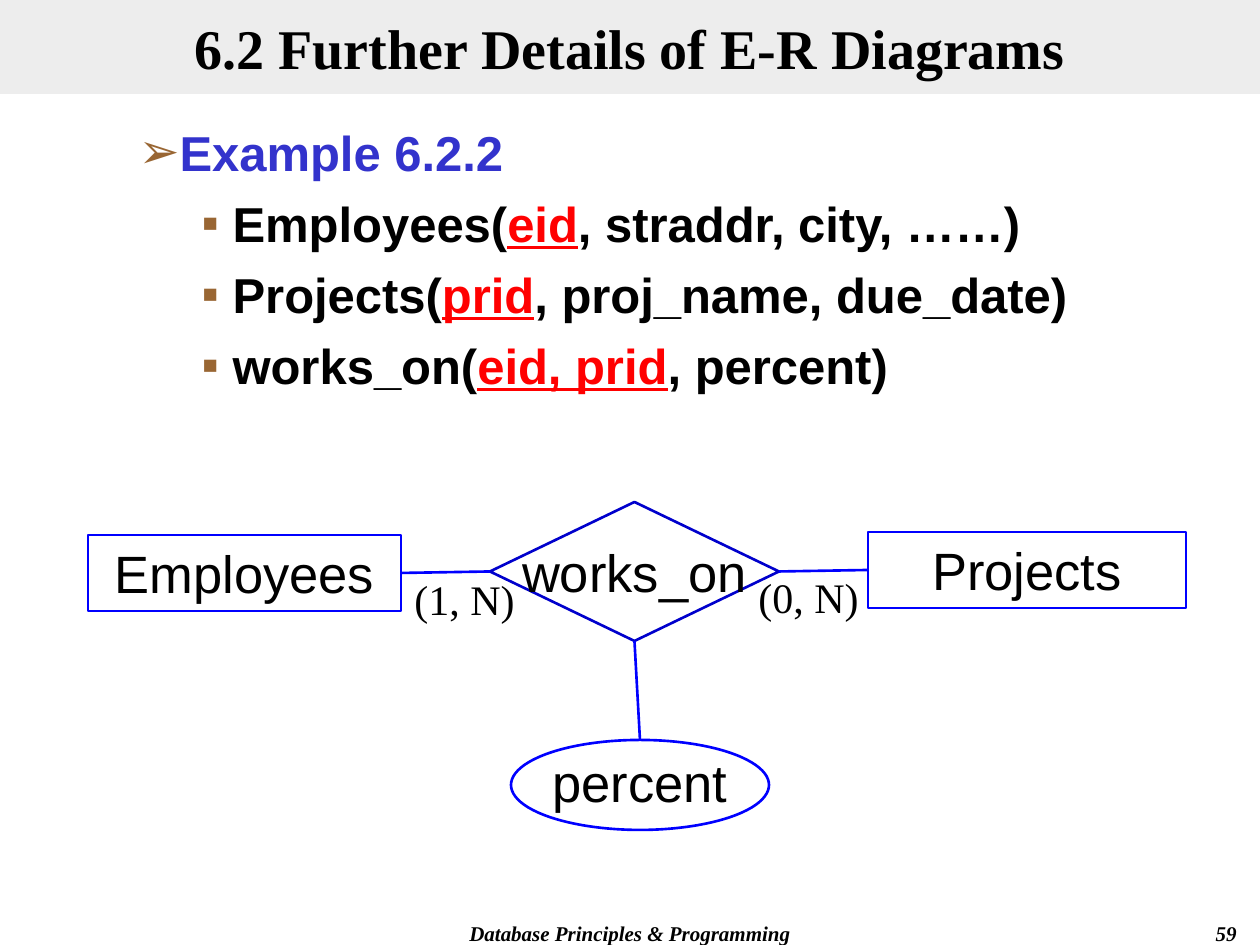
import pptx
import pptx.util
import pptx.dml.color
import pptx.enum.shapes
import pptx.enum.text
import pptx.oxml
import pptx.oxml.ns
from lxml import etree

SCALE = 914400 / 126
RGB = pptx.dml.color.RGBColor
BLACK = RGB(0, 0, 0)
WHITE = RGB(255, 255, 255)
GREY = RGB(0xDD, 0xDD, 0xDD)
RED = RGB(255, 0, 0)
BLUE = RGB(0, 0, 255)
NAVY = RGB(0, 0, 0xCC)
INDIGO = RGB(0x33, 0x33, 0xCC)
BROWN = RGB(0x99, 0x66, 0x33)
SERIF, SANS = "Times New Roman", "Arial"
ALIGN = pptx.enum.text.PP_ALIGN
ANCHOR = pptx.enum.text.MSO_ANCHOR
SHAPE = pptx.enum.shapes.MSO_SHAPE
TOP, LEFT, BOTTOM, RIGHT = range(4)


def px(n):
    return pptx.util.Emu(round(n * SCALE))


def place(shape, x, y, w, h):
    shape.left, shape.top, shape.width, shape.height = px(x), px(y), px(w), px(h)


def child(node, tag, **attrs):
    return etree.SubElement(node, pptx.oxml.ns.qn(tag), attrs)


def write(para, text, size=28, face=SANS, color=BLACK, bold=False,
          italic=False, under=False, align=None):
    """Add one run of formatted text to a paragraph."""
    if align is not None:
        para.alignment = align
    run = para.add_run()
    run.text = text
    font = run.font
    font.size, font.name = pptx.util.Pt(size), face
    font.bold, font.italic, font.underline = bold, italic, under
    font.color.rgb = color


def setup(shape, anchor=ANCHOR.TOP, wrap=True):
    frame = shape.text_frame
    frame.auto_size = pptx.enum.text.MSO_AUTO_SIZE.NONE
    frame.vertical_anchor, frame.word_wrap = anchor, wrap
    return frame


def label(slide, box, text, **style):
    shape = slide.shapes.add_textbox(0, 0, 0, 0)
    place(shape, *box)
    write(setup(shape).paragraphs[0], text, face=SERIF, **style)


def title(slide, box):
    shape = slide.shapes.title
    place(shape, *box)
    shape.fill.solid()
    shape.fill.fore_color.rgb = GREY
    tint = shape.fill._xPr.find(".//" + pptx.oxml.ns.qn("a:srgbClr"))
    child(tint, "a:alpha", val="50000")
    write(setup(shape, ANCHOR.MIDDLE).paragraphs[0],
          "6.2 Further Details of E-R Diagrams",
          size=32, face=SERIF, bold=True, align=ALIGN.CENTER)


def bullet(para, level, mark, left, hang):
    para.level = level
    props = para._p.get_or_add_pPr()
    props.set("marL", str(px(left)))
    props.set("indent", str(-px(hang)))
    child(child(props, "a:buClr"), "a:srgbClr", val=str(BROWN))
    child(props, "a:buChar", char=mark)


def body(slide, box):
    shape = slide.placeholders[1]
    place(shape, *box)
    frame = setup(shape)
    para = frame.paragraphs[0]
    bullet(para, 1, "➢", 102, 39)
    para.space_before = pptx.util.Pt(0)
    write(para, "Example 6.2.2", color=INDIGO, bold=True)
    tables = [("Employees(", "eid", ", straddr, city, ……)"),
              ("Projects(", "prid", ", proj_name, due_date)"),
              ("works_on(", "eid, prid", ", percent)")]
    for name, key, rest in tables:
        para = frame.add_paragraph()
        bullet(para, 2, "▪", 157, 31)
        para.space_before = pptx.util.Pt(7)
        write(para, name, bold=True)
        write(para, key, color=RED, bold=True, under=True)
        write(para, rest, bold=True)


def node(slide, kind, box, text, line=BLUE, fill=None, anchor=ANCHOR.MIDDLE,
         wrap=False):
    shape = slide.shapes.add_shape(kind, 0, 0, 0, 0)
    place(shape, *box)
    shape.shadow.inherit = False
    if fill is None:
        shape.fill.background()
    else:
        shape.fill.solid()
        shape.fill.fore_color.rgb = fill
    shape.line.color.rgb, shape.line.width = line, pptx.util.Pt(1.5)
    frame = setup(shape, anchor, wrap)
    write(frame.paragraphs[0], text, size=30, align=ALIGN.CENTER)
    return shape


def link(slide, start, side, end, other):
    line = slide.shapes.add_connector(
        pptx.enum.shapes.MSO_CONNECTOR.STRAIGHT, 0, 0, 0, 0)
    line.begin_connect(start, side)
    line.end_connect(end, other)
    line.line.color.rgb, line.line.width = BLUE, pptx.util.Pt(1.5)
    child(line._element.spPr, "a:effectLst")


def diagram(slide, x, y):
    # Entities, relationship and attribute
    staff = node(slide, SHAPE.RECTANGLE, (x, y + 33, 313, 76), "Employees",
                 anchor=ANCHOR.TOP, wrap=True)
    work = node(slide, SHAPE.DIAMOND, (x + 402, y, 289, 139), "works_on",
                line=NAVY, fill=WHITE)
    jobs = node(slide, SHAPE.RECTANGLE, (x + 780, y + 30, 318, 76), "Projects",
                anchor=ANCHOR.TOP, wrap=True)
    share = node(slide, SHAPE.OVAL, (x + 423, y + 238, 258, 90), "percent",
                 fill=WHITE)
    share.text_frame.margin_top = 0
    # Links
    link(slide, staff, RIGHT, work, LEFT)
    link(slide, work, RIGHT, jobs, LEFT)
    link(slide, share, TOP, work, BOTTOM)
    # Cardinalities
    for dx, dy, text in ((303, 65, "(1, N)"), (647, 63, "(0, N)")):
        label(slide, (x + dx, y + dy, 147, 63), text, size=24,
              align=ALIGN.CENTER)


def footer(slide, y):
    style = dict(size=12, bold=True, italic=True)
    label(slide, (357, y, 546, 32), "Database Principles & Programming",
          align=ALIGN.CENTER, **style)
    label(slide, (987, y, 262, 32), "59", align=ALIGN.RIGHT, **style)


def main():
    deck = pptx.Presentation()
    deck.slide_width, deck.slide_height = px(1260), px(945)
    slide = deck.slides.add_slide(deck.slide_layouts[1])
    footer(slide, 914)
    title(slide, (0, 0, 1260, 94))
    body(slide, (63, 116, 1134, 777))
    diagram(slide, 88, 502)
    deck.save("out.pptx")


if __name__ == "__main__":
    main()
